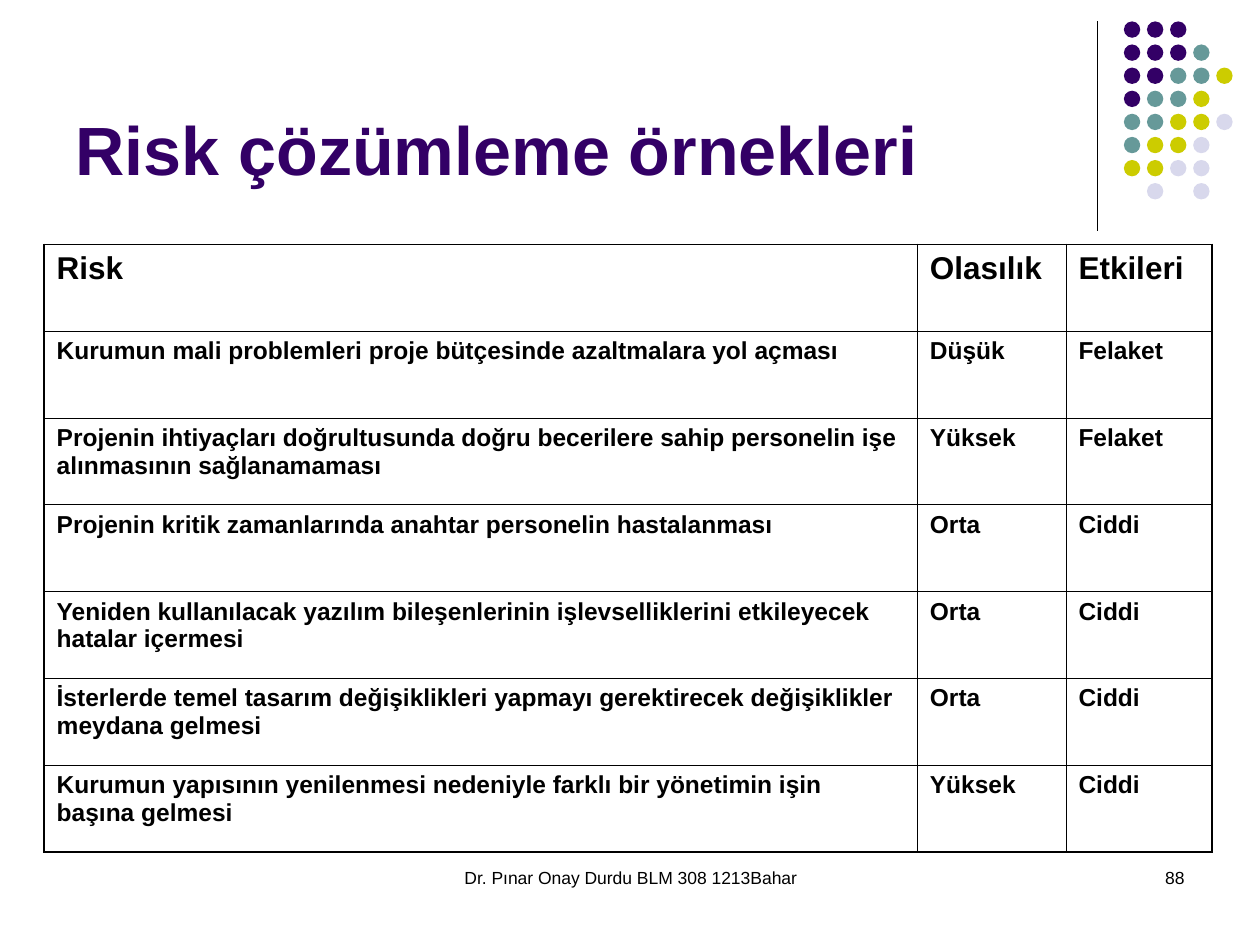
from typing import Any, NamedTuple

from lxml.etree import SubElement
from pptx import Presentation
from pptx.dml.color import RGBColor
from pptx.enum.shapes import MSO_CONNECTOR as Connector, MSO_SHAPE as Preset
from pptx.enum.text import MSO_ANCHOR as Anchor, PP_ALIGN as Align
from pptx.oxml.ns import qn
from pptx.util import Inches, Pt

BLACK = RGBColor(0x00, 0x00, 0x00)
PURPLE = RGBColor(0x33, 0x00, 0x66)
TEAL = RGBColor(0x66, 0x99, 0x99)
LIME = RGBColor(0xCC, 0xCC, 0x00)
LAVENDER = RGBColor(0xD8, 0xD8, 0xEC)

WIDTH, HEIGHT = Inches(10), Inches(7.5)
THIN, THICK = Pt(0.45), Pt(1.08)


class Area(NamedTuple):
    left: float
    top: float
    width: float
    height: float

    def emu(self) -> tuple[int, ...]:
        sides = (WIDTH, HEIGHT, WIDTH, HEIGHT)
        return tuple(round(side * share / 100) for side, share in zip(sides, self))


class Footer(NamedTuple):
    text: str
    area: Area
    align: Align


class Risk(NamedTuple):
    description: str
    likelihood: str
    effect: str


TITLE_AREA = Area(5, 1.73, 82.5, 18.93)
RULE_AREA = Area(87.1, 2.27, 0, 22.13)
TABLE_AREA = Area(3.5, 25.87, 92.7, 64.27)
COLUMN_SHARES = (69.3, 11.8, 11.6)
DOT_DIAMETER = Inches(0.13)
DOT_PITCH = Inches(0.18333)
DOTS_LEFT, DOTS_TOP = Inches(8.92), Inches(0.17)
DOT_COLOURS = {"P": PURPLE, "T": TEAL, "L": LIME, "V": LAVENDER}
DOT_ROWS = ("PPP", "PPPT", "PPTTL", "PTTL", "TTLLV", "TLLV", "LLVV", ".V.V")

FOOTERS = (
    Footer("Dr. Pınar Onay Durdu BLM 308 1213Bahar",
           Area(34.2, 91.07, 31.7, 6.67), Align.CENTER),
    Footer("88", Area(71.7, 91.07, 23.3, 6.67), Align.RIGHT),
)
RISKS = (
    Risk("Risk", "Olasılık", "Etkileri"),
    Risk("Kurumun mali problemleri proje bütçesinde azaltmalara yol açması",
         "Düşük", "Felaket"),
    Risk("Projenin ihtiyaçları doğrultusunda doğru becerilere sahip personelin "
         "işe alınmasının sağlanamaması", "Yüksek", "Felaket"),
    Risk("Projenin kritik zamanlarında anahtar personelin hastalanması",
         "Orta", "Ciddi"),
    Risk("Yeniden kullanılacak yazılım bileşenlerinin işlevselliklerini "
         "etkileyecek hatalar içermesi", "Orta", "Ciddi"),
    Risk("İsterlerde temel tasarım değişiklikleri yapmayı gerektirecek "
         "değişiklikler meydana gelmesi", "Orta", "Ciddi"),
    Risk("Kurumun yapısının yenilenmesi nedeniyle farklı bir yönetimin "
         "işin başına gelmesi", "Yüksek", "Ciddi"),
)

TITLE_FONT = {"name": "Arial", "size": Pt(39), "bold": True}
FOOTER_FONT = {"name": "Arial", "size": Pt(10), "bold": False}
HEADER_FONT = {"name": "Arial", "size": Pt(18), "bold": True}
BODY_FONT = {"name": "Arial", "size": Pt(14), "bold": True}


def set_values(target: Any, values: dict[str, Any]) -> None:
    for name, value in values.items():
        setattr(target, name, value)


def write(frame: Any, text: str, font: dict[str, Any], colour: RGBColor,
          align: Align = Align.LEFT) -> None:
    set_values(frame, {"text": text, "word_wrap": True})
    paragraph = frame.paragraphs[0]
    paragraph.alignment = align
    set_values(paragraph.runs[0].font, font)
    paragraph.runs[0].font.color.rgb = colour


def place_title(slide: Any) -> None:
    title = slide.shapes.title
    set_values(title, dict(zip(("left", "top", "width", "height"), TITLE_AREA.emu())))
    write(title.text_frame, "Risk çözümleme örnekleri", TITLE_FONT, PURPLE)
    title.text_frame.vertical_anchor = Anchor.BOTTOM


def draw_rule(slide: Any) -> None:
    left, top, width, height = RULE_AREA.emu()
    rule = slide.shapes.add_connector(
        Connector.STRAIGHT, left, top, left + width, top + height)
    rule.line.color.rgb = BLACK
    rule.line.width = Pt(0.75)
    SubElement(rule.element.spPr, qn("a:effectLst"))


def draw_dots(slide: Any) -> None:
    dots = slide.shapes.add_group_shape().shapes
    for row, marks in enumerate(DOT_ROWS):
        for column, mark in enumerate(marks):
            if mark not in DOT_COLOURS:
                continue
            dot = dots.add_shape(
                Preset.OVAL, DOTS_LEFT + column * DOT_PITCH,
                DOTS_TOP + row * DOT_PITCH, DOT_DIAMETER, DOT_DIAMETER)
            dot.shadow.inherit = False
            dot.fill.solid()
            dot.fill.fore_color.rgb = DOT_COLOURS[mark]
            dot.line.fill.background()


def add_footer(slide: Any, footer: Footer) -> None:
    box = slide.shapes.add_textbox(*footer.area.emu())
    write(box.text_frame, footer.text, FOOTER_FONT, BLACK, footer.align)


def set_borders(cell: Any, outer_sides: dict[str, bool]) -> None:
    properties = cell._tc.get_or_add_tcPr()
    for side, is_outer in outer_sides.items():
        border = SubElement(properties, qn(f"a:ln{side}"), w=str(THICK if is_outer else THIN))
        fill = SubElement(border, qn("a:solidFill"))
        SubElement(fill, qn("a:srgbClr"), val=str(BLACK))


def add_risk_table(slide: Any) -> None:
    last_row, last_column = len(RISKS) - 1, len(COLUMN_SHARES) - 1
    table = slide.shapes.add_table(
        len(RISKS), len(COLUMN_SHARES), *TABLE_AREA.emu()).table
    set_values(table, {"first_row": False, "horz_banding": False})
    for column, share in zip(table.columns, COLUMN_SHARES):
        column.width = round(WIDTH * share / 100)
    for row, risk in enumerate(RISKS):
        for column, text in enumerate(risk):
            cell = table.cell(row, column)
            write(cell.text_frame, text, BODY_FONT if row else HEADER_FONT, BLACK)
            set_borders(cell, {"L": column == 0, "R": column == last_column,
                               "T": row == 0, "B": row == last_row})
            cell.fill.background()


def main() -> None:
    deck = Presentation()
    set_values(deck, {"slide_width": WIDTH, "slide_height": HEIGHT})
    slide = deck.slides.add_slide(deck.slide_layouts[5])
    draw_rule(slide)
    draw_dots(slide)
    for footer in FOOTERS:
        add_footer(slide, footer)
    place_title(slide)
    add_risk_table(slide)
    deck.save("out.pptx")


if __name__ == "__main__":
    main()
